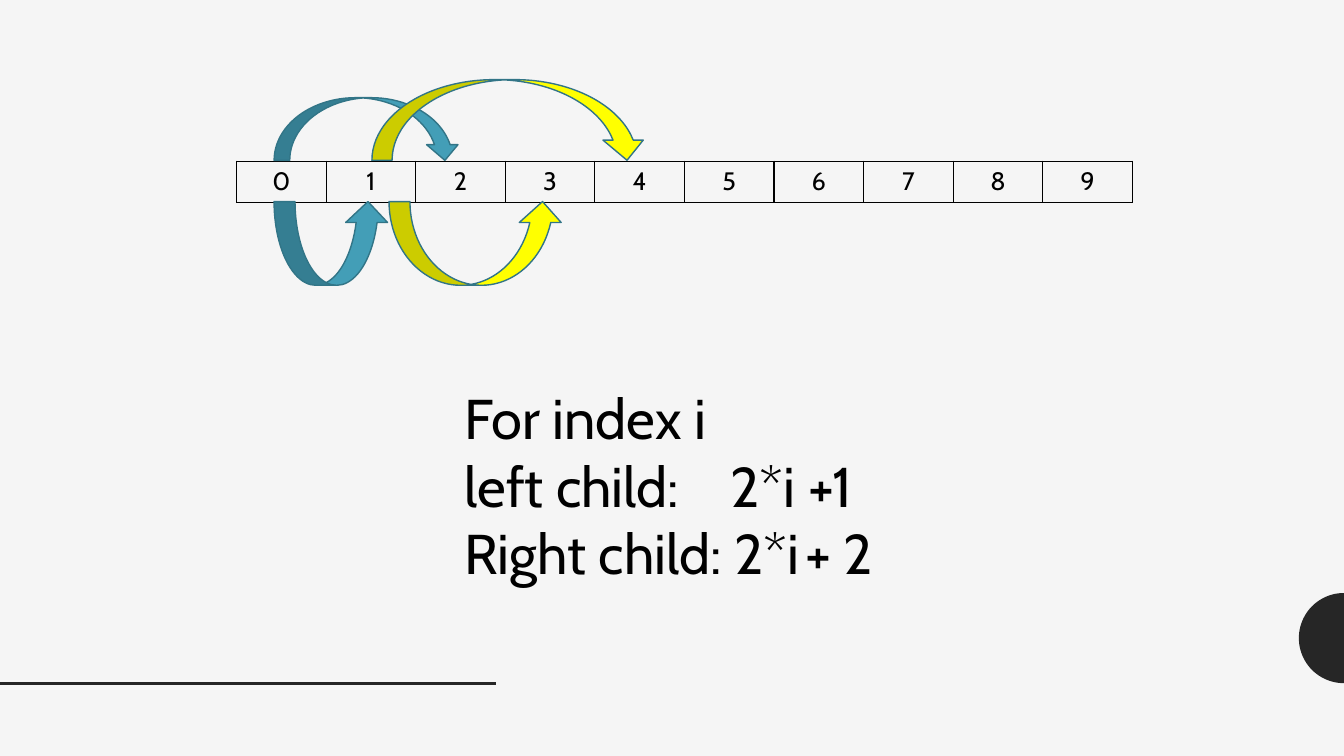
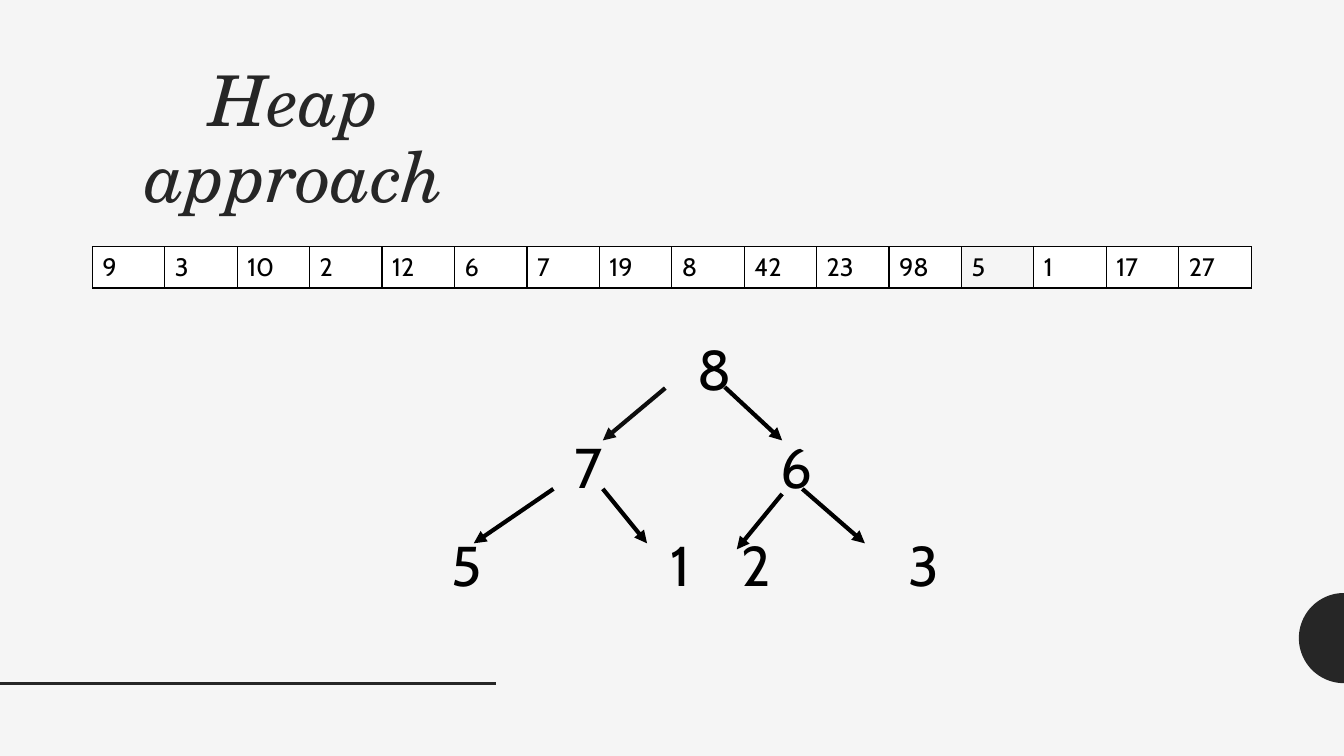
"""Build two slides on heaps: child index rules and a sample tree."""
from dataclasses import dataclass
from math import cos, pi, sin

from lxml.etree import SubElement
from pptx import Presentation
from pptx.dml.color import RGBColor
from pptx.enum.shapes import MSO_CONNECTOR, MSO_SHAPE
from pptx.enum.text import MSO_ANCHOR, PP_ALIGN
from pptx.oxml.ns import qn
from pptx.util import Pt

LEFT, CENTER = PP_ALIGN.LEFT, PP_ALIGN.CENTER
TOP = MSO_ANCHOR.TOP
OVER, UNDER = MSO_SHAPE.CURVED_DOWN_ARROW, MSO_SHAPE.CURVED_UP_ARROW
STRAIGHT = MSO_CONNECTOR.STRAIGHT

WIDE, HIGH = 960, 540
BODY, SERIF = "Cabin", "TeX Gyre Schola"
PAPER, DARK, BLACK, WHITE = "F5F5F5", "262626", "000000", "FFFFFF"
TEAL, EDGE, YELLOW = "439EB7", "327587", "FFFF00"
SMALL, LARGE, HUGE = 18, 40, 50
ROW_HIGH = 29.5


@dataclass
class Hop:
    """A curved arrow from one index to a child."""
    kind: MSO_SHAPE
    left: float
    top: float
    width: float
    height: float
    fill: str


@dataclass
class Node:
    """A tree value, placed by the middle of its digit."""
    text: str
    x: float
    y: float


@dataclass
class Link:
    """An arrow between two tree levels."""
    x1: float
    y1: float
    x2: float
    y2: float
    color: str = BLACK


HOPS = [
    Hop(UNDER, 195.8, 144, 82, 59.8, TEAL),
    Hop(OVER, 195.8, 69.8, 133.2, 44.8, TEAL),
    Hop(UNDER, 277.9, 144, 124.6, 59.8, YELLOW),
    Hop(OVER, 265.7, 56.9, 196.6, 57.6, YELLOW),
]
RULES = [
    [("For index i", LARGE)],
    [("left child:\t2*i +1", LARGE)],
    [("Right child: 2*i", LARGE), (" ", SMALL), ("+ 2", LARGE)],
]
NODES = [
    Node("8", 510.7, 265),
    Node("7", 420.7, 335), Node("6", 568.6, 335),
    Node("5", 333.6, 405), Node("1", 486.4, 405),
    Node("2", 540, 405), Node("3", 660, 405),
]
LINKS = [
    Link(475.2, 277.2, 430.6, 314.6, "0D0D0D"),
    Link(517.7, 276.5, 558.7, 314.6),
    Link(395.3, 349.2, 338.4, 388.1),
    Link(430.6, 349.2, 462.2, 388.1),
    Link(558.7, 352.8, 526.3, 392.4),
    Link(573.1, 349.2, 617.8, 388.1),
]
VALUES = ["9", "3", "10", "2", "12", "6", "7", "19",
          "8", "42", "23", "98", "5", "1", "17", "27"]


def tint(code: str) -> RGBColor:
    """Turn a hex string into a colour."""
    return RGBColor.from_string(code)


def add_run(para, text: str, size: float, font: str = BODY,
            color: str = BLACK, slant: bool = False) -> None:
    """Add one styled run to a paragraph."""
    run = para.add_run()
    run.text = text
    run.font.size = Pt(size)
    run.font.name = font
    run.font.italic = slant
    run.font.color.rgb = tint(color)


def add_box(slide, left: float, top: float, width: float, height: float,
            lines: list, align=LEFT, tab: float = 0) -> None:
    """Add a text box, one paragraph for each list of runs."""
    frame = slide.shapes.add_textbox(
        Pt(left), Pt(top), Pt(width), Pt(height)).text_frame
    frame.word_wrap = True
    for spot, runs in enumerate(lines):
        para = frame.add_paragraph() if spot else frame.paragraphs[0]
        para.alignment = align
        if tab:
            stops = SubElement(para._p.get_or_add_pPr(), qn("a:tabLst"))
            SubElement(stops, qn("a:tab"), pos=str(Pt(tab)), algn="l")
        for text, size in runs:
            add_run(para, text, size)


def add_line(slide, link: Link, weight: float, arrow: bool = True) -> None:
    """Draw a straight line, with an arrowhead if asked."""
    line = slide.shapes.add_connector(
        STRAIGHT, Pt(link.x1), Pt(link.y1), Pt(link.x2), Pt(link.y2))
    line.line.color.rgb = tint(link.color)
    line.line.width = Pt(weight)
    props = line.element.spPr
    if arrow:
        SubElement(props.find(qn("a:ln")), qn("a:tailEnd"), type="triangle")
    SubElement(props, qn("a:effectLst"))


def add_hop(slide, hop: Hop) -> None:
    """Draw one curved arrow."""
    shape = slide.shapes.add_shape(
        hop.kind, Pt(hop.left), Pt(hop.top), Pt(hop.width), Pt(hop.height))
    shape.shadow.inherit = False
    shape.fill.solid()
    shape.fill.fore_color.rgb = tint(hop.fill)
    shape.line.color.rgb = tint(EDGE)
    shape.line.width = Pt(1)


def add_border(cell) -> None:
    """Give a cell a thin black border on all sides."""
    props = cell._tc.get_or_add_tcPr()
    for side in ("a:lnL", "a:lnR", "a:lnT", "a:lnB"):
        edge = SubElement(props, qn(side), w=str(Pt(1)))
        fill = SubElement(edge, qn("a:solidFill"))
        SubElement(fill, qn("a:srgbClr"), val=BLACK)


def add_array(slide, left: float, top: float, width: float,
              texts: list[str], fills: list, align=LEFT) -> None:
    """Draw an array as a table of one row with equal cells."""
    table = slide.shapes.add_table(
        1, len(texts), Pt(left), Pt(top), Pt(width), Pt(ROW_HIGH)).table
    table.first_row = table.horz_banding = False
    for spot, (text, fill) in enumerate(zip(texts, fills)):
        table.columns[spot].width = Pt(width / len(texts))
        cell = table.cell(0, spot)
        add_border(cell)
        if fill:
            cell.fill.solid()
            cell.fill.fore_color.rgb = tint(fill)
        else:
            cell.fill.background()
        para = cell.text_frame.paragraphs[0]
        para.alignment = align
        add_run(para, text, SMALL)


def add_decor(slide) -> None:
    """Draw the half disc and the rule that all slides share."""
    reach, middle, steps = 32.2, 455.8, 48
    turns = [pi / 2 + pi * step / steps for step in range(steps + 1)]
    points = [(Pt(WIDE + reach * cos(turn)), Pt(middle + reach * sin(turn)))
              for turn in turns]
    form = slide.shapes.build_freeform(*points[0])
    form.add_line_segments(points[1:], close=True)
    disc = form.convert_to_shape()
    disc.shadow.inherit = False
    disc.fill.solid()
    disc.fill.fore_color.rgb = tint(DARK)
    disc.line.fill.background()
    add_line(slide, Link(0, 488.2, 354.2, 488.2, DARK), 2, arrow=False)


def set_title(slide, text: str) -> None:
    """Place and style the title."""
    title = slide.shapes.title
    title.left, title.top = Pt(59.8), Pt(43.9)
    title.width, title.height = Pt(301.7), Pt(390.2)
    frame = title.text_frame
    frame.word_wrap = True
    frame.vertical_anchor = TOP
    para = frame.paragraphs[0]
    para.alignment = CENTER
    para.line_spacing = 0.9
    add_run(para, text, HUGE, SERIF, DARK, slant=True)


def draw_index(deck) -> None:
    """Build the slide on child index rules."""
    slide = deck.slides.add_slide(deck.slide_layouts[6])
    add_decor(slide)
    texts = [str(spot) for spot in range(10)]
    add_array(slide, 169, 115.2, 640, texts, [None] * 10, CENTER)
    for hop in HOPS:
        add_hop(slide, hop)
    add_box(slide, 324.7, 270.7, 528, 152.6, RULES, tab=190)


def draw_heap(deck) -> None:
    """Build the slide with the array and its tree."""
    slide = deck.slides.add_slide(deck.slide_layouts[5])
    add_decor(slide)
    set_title(slide, "Heap approach")
    for node in NODES:
        add_box(slide, node.x - 25, node.y - 29.3, 50, 55.8,
                [[(node.text, LARGE)]], CENTER)
    for link in LINKS:
        add_line(slide, link, 3)
    fills = [None if text == "5" else WHITE for text in VALUES]
    add_array(slide, 66, 176.2, 828, VALUES, fills)


def main() -> None:
    """Build and save the deck."""
    deck = Presentation()
    deck.slide_width, deck.slide_height = Pt(WIDE), Pt(HIGH)
    back = deck.slide_master.background.fill
    back.solid()
    back.fore_color.rgb = tint(PAPER)
    draw_index(deck)
    draw_heap(deck)
    deck.save("out.pptx")


if __name__ == "__main__":
    main()
